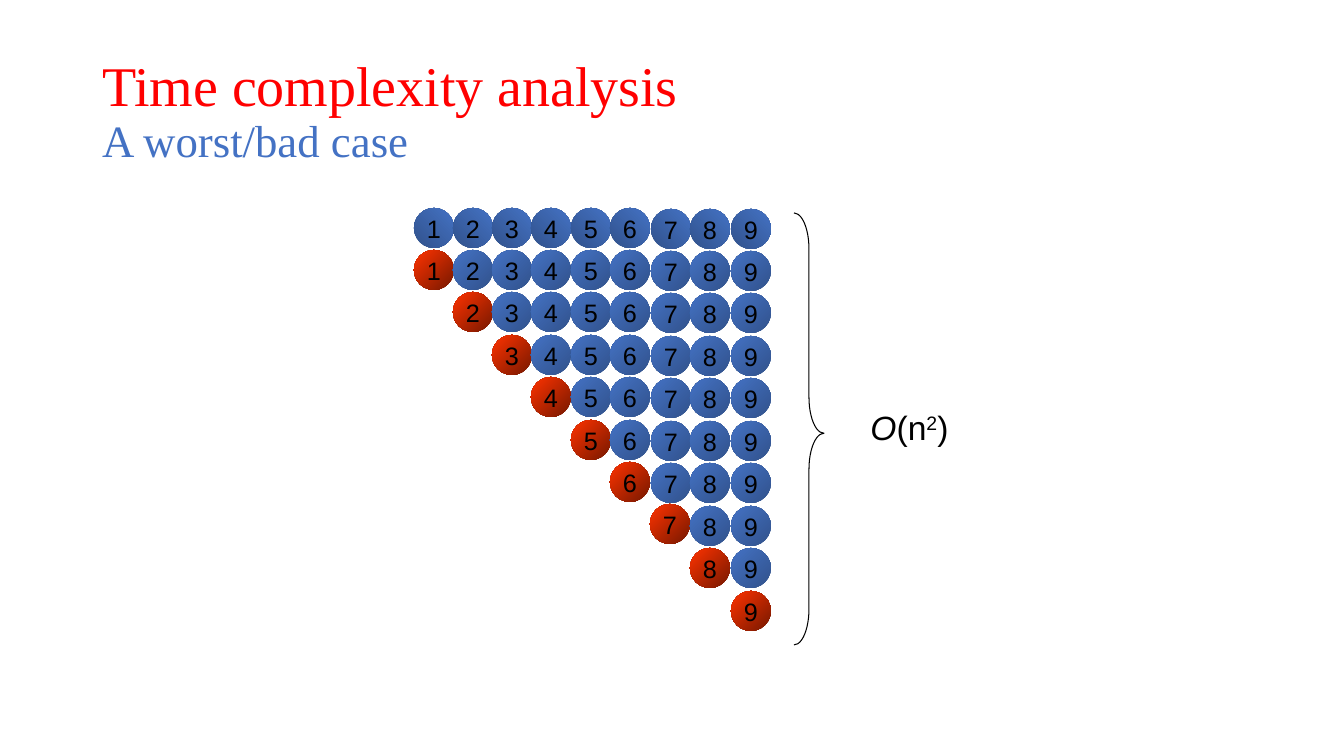
from pptx import Presentation
from pptx import util as u
from pptx.dml.color import RGBColor
from pptx.enum import shapes, text

HEADING = "Time complexity analysis"
SUBHEADING = "A worst/bad case"
NUMBERS = range(1, 10)
COMPLEXITY = [("O", {"italic": True}), ("(n", {}), ("2", {"raised": True}), (")", {})]

RED = RGBColor(0xFF, 0x00, 0x00)
BLUE = RGBColor(0x44, 0x72, 0xC4)
DARK_BLUE = RGBColor(0x31, 0x52, 0x8C)
PIVOT_RED = RGBColor(0xFF, 0x33, 0x00)
DARK_RED = RGBColor(0x76, 0x18, 0x00)
BLACK = RGBColor(0x00, 0x00, 0x00)
WHITE = RGBColor(0xFF, 0xFF, 0xFF)

SLIDE_W, SLIDE_H = 1344, 756
SCALE = 12192000 / SLIDE_W
BALL = 40
BALL_LEFTS = [414, 453, 492, 531, 571, 610, 651, 690, 731]
FIRST_TOP = 208
ROWS_SPAN = 382
LOWERED_FROM = 7
PIVOT_NUDGE = {7: (-1, -2)}


def px(length):
    return u.Emu(round(length * SCALE))


def write(paragraph, words, size, color=BLACK, font="Arial", italic=False, raised=False):
    run = paragraph.add_run()
    run.text = words
    run.font.size = u.Pt(size)
    run.font.name = font
    run.font.color.rgb = color
    run.font.italic = italic
    if raised:
        run._r.get_or_add_rPr().set("baseline", "30000")


def add_plain(slide, kind, left, top, width, height):
    shape = slide.shapes.add_shape(kind, px(left), px(top), px(width), px(height))
    shape.shadow.inherit = False
    shape.fill.background()
    shape.line.fill.background()
    frame = shape.text_frame
    frame.word_wrap = False
    frame.vertical_anchor = text.MSO_ANCHOR.MIDDLE
    frame.paragraphs[0].alignment = text.PP_ALIGN.CENTER
    return shape


def add_ball(slide, number, row):
    pivot = number == row
    shift_x, shift_y = PIVOT_NUDGE.get(number, (0, 0)) if pivot else (0, 0)
    left = BALL_LEFTS[number - 1] + shift_x
    top = FIRST_TOP + row * ROWS_SPAN // 9 + (number >= LOWERED_FROM) + shift_y
    ball = add_plain(slide, shapes.MSO_SHAPE.OVAL, left, top, BALL, BALL)
    ball.fill.gradient()
    ball.fill.gradient_angle = 45
    shades = (DARK_RED, PIVOT_RED) if pivot else (DARK_BLUE, BLUE)
    for stop, shade in zip(ball.fill.gradient_stops, shades):
        stop.color.rgb = shade
    if row:
        ball._element.spPr.get_or_add_xfrm().set("flipH", "1")
    write(ball.text_frame.paragraphs[0], str(number), 18)


def main():
    deck = Presentation()
    deck.slide_width, deck.slide_height = px(SLIDE_W), px(SLIDE_H)
    slide = deck.slides.add_slide(deck.slide_layouts[5])

    title = slide.shapes.title
    title.left, title.top, title.width, title.height = px(92), px(40), px(1159), px(146)
    title.text_frame.auto_size = text.MSO_AUTO_SIZE.NONE
    title.text_frame.vertical_anchor = text.MSO_ANCHOR.MIDDLE
    heading = title.text_frame.paragraphs[0]
    heading.alignment = text.PP_ALIGN.LEFT
    heading.line_spacing = 0.9
    write(heading, HEADING, 40, color=RED, font="Times New Roman")
    heading.add_line_break()
    write(heading, SUBHEADING, 32, color=BLUE, font="Times New Roman")

    for row in range(len(NUMBERS) + 1):
        for number in NUMBERS:
            if number >= row:
                add_ball(slide, number, row)

    brace = add_plain(slide, shapes.MSO_SHAPE.RIGHT_BRACE, 794, 213, 30, 432)
    brace.adjustments[0] = 1.2
    brace.adjustments[1] = 0.51
    brace.line.color.rgb = BLACK
    brace.line.width = u.Pt(0.75)

    complexity = add_plain(slide, shapes.MSO_SHAPE.RECTANGLE, 834, 384, 151, 86)
    complexity.fill.solid()
    complexity.fill.fore_color.rgb = WHITE
    complexity.line.color.rgb = WHITE
    complexity.line.width = u.Pt(0.75)
    for words, style in COMPLEXITY:
        write(complexity.text_frame.paragraphs[0], words, 24, **style)

    deck.save("out.pptx")


if __name__ == "__main__":
    main()
